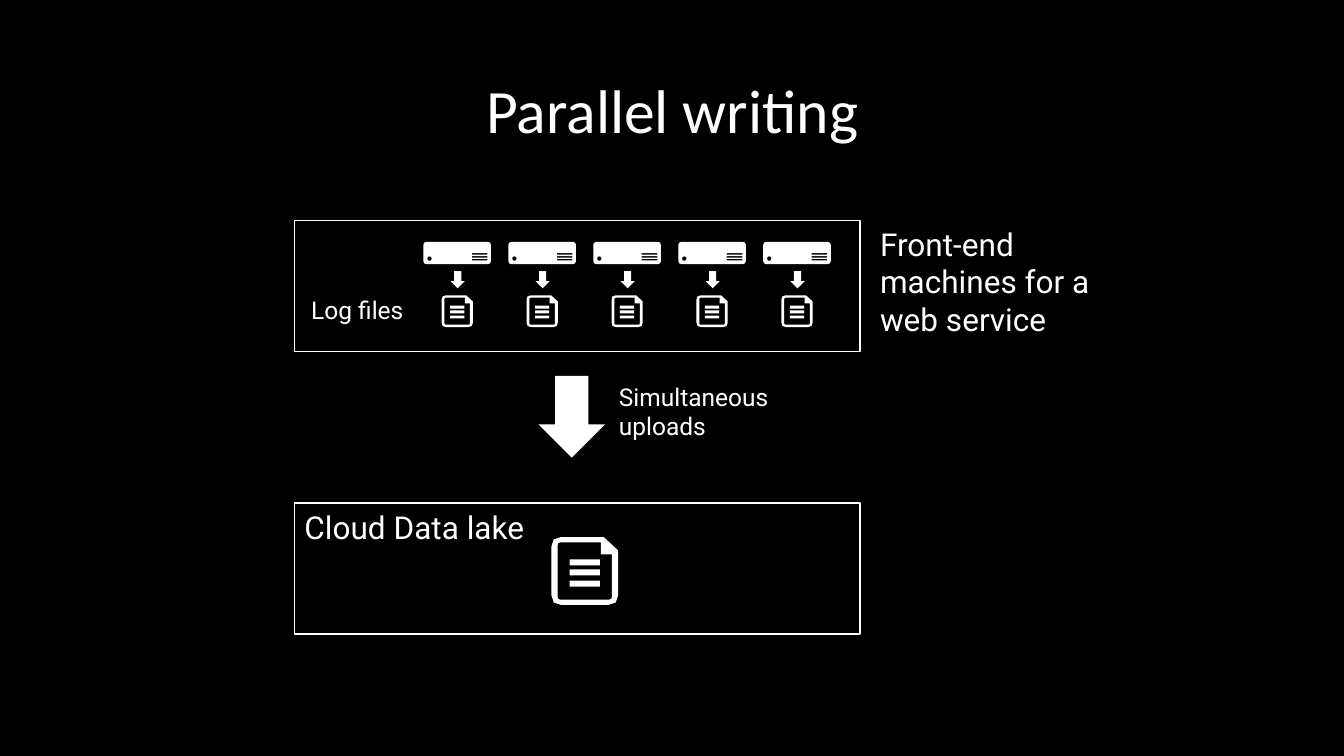
"""Build a slide showing parallel log uploads from front-end machines to a data lake."""
from math import dist

from pptx import Presentation
from pptx.dml.color import RGBColor
from pptx.enum.shapes import MSO_SHAPE
from pptx.enum.text import MSO_ANCHOR, PP_ALIGN
from pptx.util import Pt

PX = 9144
THEME = {
    "ink": RGBColor(255, 255, 255),
    "ground": RGBColor(0, 0, 0),
    "title": ("Calibri", 44),
    "heading": ("Roboto", 22.5),
    "caption": ("Roboto", 17.5),
    "border": 1,
}

PAGE_WIDTH = 66
PAGE = [
    [(0, 0, 9), (52, 0, 0), (66, 13, 0), (66, 67, 9), (0, 67, 9)],
    [(6, 5, 3), (49, 5, 0), (49, 17, 0), (60, 17, 0), (60, 62, 3), (6, 62, 3)],
]
SERVER_WIDTH = 670
SERVER = [
    [(0, 0, 30), (670, 0, 30), (670, 220, 30), (0, 220, 30)],
    [(38, 143, 22), (82, 143, 22), (82, 187, 22), (38, 187, 22)],
] + [
    [(480, y, 0), (635, y, 0), (635, y + 15, 0), (480, y + 15, 0)]
    for y in (112, 140, 168)
]


def add_preset(shapes, geometry, box, framed=False):
    shape = shapes.add_shape(geometry, *(int(length * PX) for length in box))
    shape.shadow.inherit = False
    shape.fill.solid()
    shape.fill.fore_color.rgb = THEME["ground" if framed else "ink"]
    if framed:
        shape.line.color.rgb = THEME["ink"]
        shape.line.width = Pt(THEME["border"])
    else:
        shape.line.fill.background()
    return shape


def add_outline(shapes, contours, left, top, unit):
    builder = None
    for corners in contours:
        points = []
        for index, (x, y, radius) in enumerate(corners):
            ends = []
            for nx, ny, _ in (corners[index - 1], corners[(index + 1) % len(corners)]):
                share = radius / dist((x, y), (nx, ny))
                ends.append((x + (nx - x) * share, y + (ny - y) * share))
            for t in (0, 0.5, 1) if radius else (0,):
                points.append(tuple(
                    round((start + ((1 - t) ** 2 * a + 2 * t * (1 - t) * corner + t * t * b) * unit) * PX)
                    for start, a, corner, b in zip((left, top), ends[0], (x, y), ends[1])
                ))
        if builder is None:
            builder = shapes.build_freeform(*points[0], scale=1.0)
        else:
            builder.move_to(*points[0])
        builder.add_line_segments(points[1:], close=True)
    shape = builder.convert_to_shape()
    shape.shadow.inherit = False
    shape.fill.solid()
    shape.fill.fore_color.rgb = THEME["ink"]
    shape.line.fill.background()


deck = Presentation()
deck.slide_width, deck.slide_height = 1333 * PX, 750 * PX
slide = deck.slides.add_slide(deck.slide_layouts[6])
slide.background.fill.solid()
slide.background.fill.fore_color.rgb = THEME["ground"]
shapes = slide.shapes

add_preset(shapes, MSO_SHAPE.RECTANGLE, (292, 219, 561, 130), framed=True)
lake = add_preset(shapes, MSO_SHAPE.RECTANGLE, (292, 499, 561, 130), framed=True)
add_preset(shapes, MSO_SHAPE.DOWN_ARROW, (534, 373, 66, 81))

machine_lefts = [420 + 337 * machine / 4 for machine in range(5)]
for left in machine_lefts:
    add_outline(shapes, SERVER, left, 240, 67 / SERVER_WIDTH)
    add_preset(shapes, MSO_SHAPE.DOWN_ARROW, (left + 27, 269, 14, 17))

log_files = [(left + 18, 293, 31) for left in machine_lefts]
lake_file = (547, 533, 66)
for left, top, width in log_files + [lake_file]:
    unit = width / PAGE_WIDTH
    add_outline(shapes, PAGE, left, top, unit)
    for y in (22, 32, 43):
        bar = (left + 18 * unit, top + y * unit, 30 * unit, 6 * unit)
        add_preset(shapes, MSO_SHAPE.RECTANGLE, bar)

middle, left_aligned = MSO_ANCHOR.MIDDLE, PP_ALIGN.LEFT
labels = [
    ("Parallel writing", (92, 40, 1150, 145), "title", PP_ALIGN.CENTER, middle, 0.9),
    ("Front-end machines for a web service", (863, 250, 241, 58), "heading", left_aligned, middle, 1.0),
    ("Log files", (292, 278, 118, 58), "caption", PP_ALIGN.RIGHT, middle, 1.0),
    ("Simultaneous\nuploads", (604, 388, 274, 40), "caption", left_aligned, middle, 1.0),
    ("Cloud Data lake", None, "heading", left_aligned, MSO_ANCHOR.TOP, 1.0),
]
for wording, box, style, alignment, anchor, spacing in labels:
    holder = shapes.add_textbox(*(length * PX for length in box)) if box else lake
    frame = holder.text_frame
    frame.text = wording
    frame.word_wrap = True
    frame.vertical_anchor = anchor
    for paragraph in frame.paragraphs:
        paragraph.alignment = alignment
        paragraph.line_spacing = spacing
        for run in paragraph.runs:
            typeface, size = THEME[style]
            run.font.name = typeface
            run.font.size = Pt(size)
            run.font.color.rgb = THEME["ink"]

deck.save("out.pptx")
